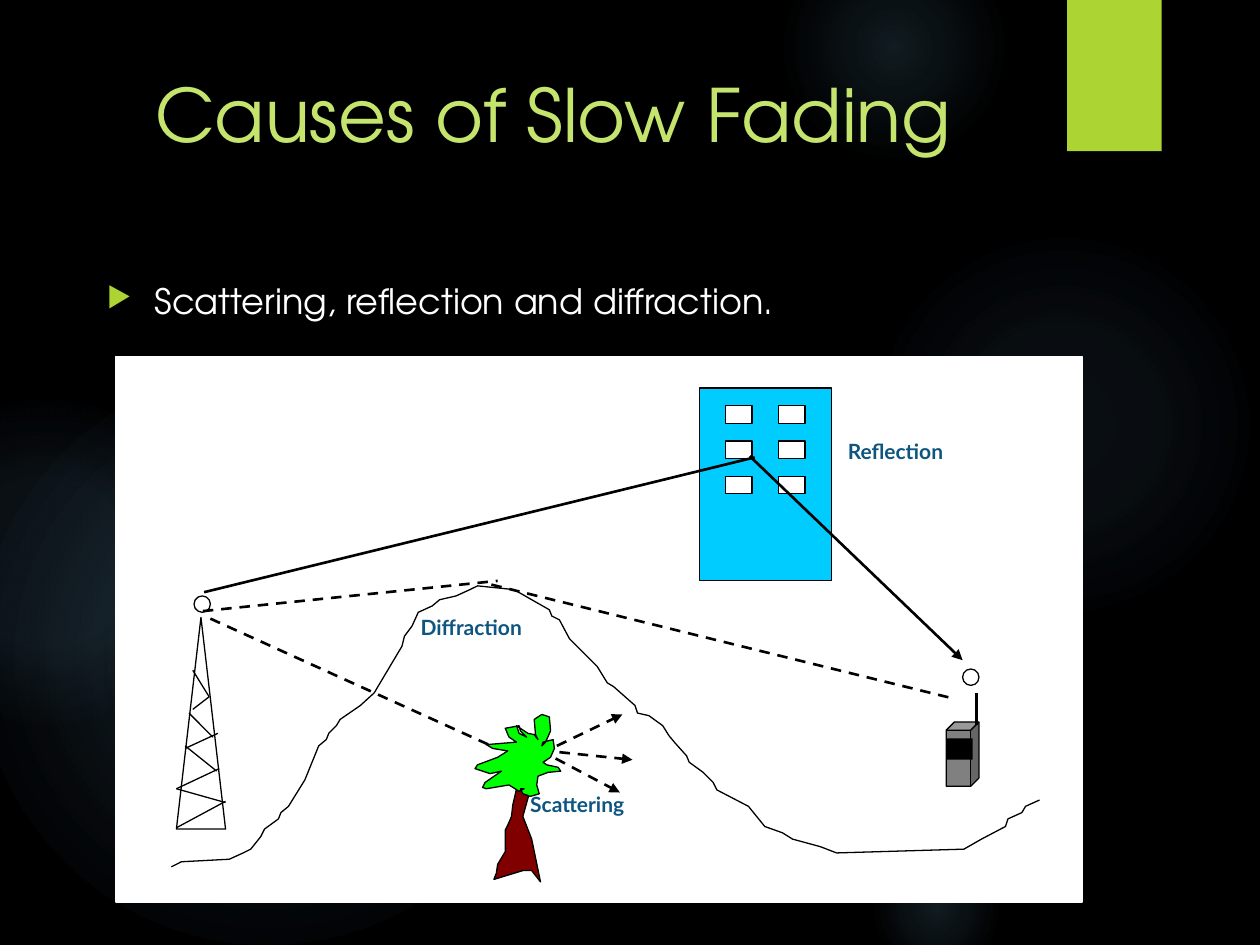
from lxml.etree import SubElement
from pptx import Presentation
from pptx.dml.color import RGBColor
from pptx.enum.dml import MSO_LINE
from pptx.enum.shapes import MSO_CONNECTOR, MSO_SHAPE
from pptx.enum.text import MSO_ANCHOR, PP_ALIGN
from pptx.oxml.ns import qn
from pptx.util import Inches, Pt

TITLE = {"name": "TeX Gyre Adventor", "size": Pt(42)}
BODY = {"name": "TeX Gyre Adventor", "size": Pt(20)}
LABEL = {"name": "Lato", "size": Pt(12), "bold": True}
FRAME = {"word_wrap": True, "vertical_anchor": MSO_ANCHOR.TOP}

# Outlines in hundredths of an inch from the corner of their box
HILL = [
    (8, 223), (16, 219), (54, 217), (65, 212), (71, 209), (79, 199), (82, 193),
    (93, 185), (95, 180), (101, 175), (114, 154), (125, 127), (131, 122),
    (133, 117), (139, 111), (142, 106), (158, 95), (169, 85), (191, 48),
    (193, 40), (199, 32), (204, 21), (215, 16), (221, 11), (234, 8), (245, 3),
    (251, 0), (280, 3), (308, 19), (310, 24), (316, 27), (324, 42), (346, 64),
    (354, 77), (359, 80), (376, 95), (378, 101), (387, 103), (398, 111),
    (403, 119), (408, 125), (417, 135), (419, 140), (430, 148), (438, 156),
    (441, 162), (466, 175), (479, 191), (493, 196), (501, 201), (523, 207),
    (536, 212), (637, 209), (651, 201), (670, 191), (672, 185), (683, 180),
    (686, 175), (697, 170)]
TRUNK = [
    (33, 59), (30, 72), (29, 81), (26, 88), (24, 92), (24, 109), (18, 119),
    (17, 126), (15, 131), (38, 124), (45, 124), (52, 133), (45, 99), (38, 81),
    (45, 56)]
CROWN = [
    (36, 59), (38, 63), (44, 65), (51, 63), (49, 56), (50, 49), (58, 46),
    (68, 45), (66, 42), (57, 40), (54, 38), (60, 34), (63, 27), (62, 20),
    (54, 22), (53, 25), (56, 22), (60, 13), (59, 2), (53, 0), (47, 4), (48, 16),
    (50, 20), (47, 16), (42, 15), (36, 11), (33, 9), (35, 15), (41, 18),
    (36, 13), (35, 9), (24, 11), (27, 18), (33, 22), (9, 24), (14, 27),
    (26, 29), (18, 34), (2, 40), (0, 43), (12, 47), (21, 45), (8, 54), (6, 58),
    (9, 59), (27, 56), (35, 61), (39, 59)]


def tint(color, value):
    color.rgb = RGBColor.from_string(value)


def apply(target, values):
    for key, value in values.items():
        setattr(target, key, value)


def paint(shape, fill=None, line=None, width=0.75):
    shape.shadow.inherit = False
    if fill:
        shape.fill.solid()
        tint(shape.fill.fore_color, fill)
    else:
        shape.fill.background()
    if line:
        tint(shape.line.color, line)
        shape.line.width = Pt(width)
    else:
        shape.line.fill.background()


def block(slide, kind, x, y, w, h, fill=None, line=None, width=0.75):
    shape = slide.shapes.add_shape(kind, *map(Inches, (x, y, w, h)))
    paint(shape, fill, line, width)
    return shape


def outline(slide, x, y, points, fill=None, close=False):
    pen = slide.shapes.build_freeform(*points[0], scale=Inches(0.01))
    pen.add_line_segments(points[1:], close=close)
    paint(pen.convert_to_shape(Inches(x), Inches(y)), fill, "000000")


def stroke(slide, x, y, ends, width=0.75, dash=False, arrow=False):
    """Draw a straight line; ends are offsets from x, y."""
    x1, y1, x2, y2 = ends
    line = slide.shapes.add_connector(
        MSO_CONNECTOR.STRAIGHT, *map(Inches, (x + x1, y + y1, x + x2, y + y2)))
    tint(line.line.color, "000000")
    line.line.width = Pt(width)
    if dash:
        line.line.dash_style = MSO_LINE.DASH
    props = line._element.spPr
    if arrow:
        SubElement(props.find(qn("a:ln")), qn("a:tailEnd"), type="triangle")
    SubElement(props, qn("a:effectLst"))


def write(shape, text, font, color, align=PP_ALIGN.LEFT):
    apply(shape.text_frame, FRAME)
    para = shape.text_frame.paragraphs[0]
    para.alignment = align
    run = para.add_run()
    run.text = text
    apply(run.font, font)
    tint(run.font.color, color)
    return para


def glow(slide, x, y, size, stops):
    """Draw a round light; stops are (position, opacity) in percent."""
    shape = block(slide, MSO_SHAPE.OVAL, x, y, size, size)
    props = shape._element.spPr
    old = props.find(qn("a:noFill"))
    grad = old.makeelement(qn("a:gradFill"), rotWithShape="1")
    props.replace(old, grad)
    marks = SubElement(grad, qn("a:gsLst"))
    for pos, alpha in stops:
        mark = SubElement(marks, qn("a:gs"), pos=str(pos * 1000))
        color = SubElement(mark, qn("a:srgbClr"), val="7AC4F0")
        SubElement(color, qn("a:alpha"), val=str(alpha * 1000))
    way = SubElement(grad, qn("a:path"), path="circle")
    SubElement(way, qn("a:fillToRect"), l="50000", t="50000", r="50000", b="50000")


def backdrop(slide):
    slide.background.fill.solid()
    tint(slide.background.fill.fore_color, "000000")
    for x, y, size, core, mid, edge in (
            (6.89, 1.83, 3.08, 7, 6, 69), (6.22, -0.5, 1.75, 14, 7, 73),
            (6.89, 6.67, 1.08, 14, 7, 66), (-0.17, 2.92, 4.58, 11, 10, 75),
            (-0.92, 3.17, 2.58, 8, 8, 72)):
        glow(slide, x, y, size, ((0, core), (36, mid), (edge, 0)))
    block(slide, MSO_SHAPE.RECTANGLE, 8.47, 0, 0.75, 1.2, "ACD433")


def title(slide, x, y, w, h):
    box = slide.shapes.add_textbox(*map(Inches, (x, y, w, h)))
    write(box, "Causes of Slow Fading", TITLE, "C4E46E", PP_ALIGN.CENTER)


def body(slide, x, y, w, h):
    box = slide.shapes.add_textbox(*map(Inches, (x, y, w, h)))
    para = write(box, "Scattering, reflection and diffraction.", BODY, "FFFFFF")
    props = para._p.get_or_add_pPr()
    props.set("marL", str(Inches(0.38)))
    props.set("indent", str(-Inches(0.38)))
    SubElement(SubElement(props, qn("a:buClr")), qn("a:srgbClr"), val="ACD433")
    SubElement(props, qn("a:buSzPct"), val="80000")
    SubElement(props, qn("a:buChar"), char="▶")


def ball(slide, x, y):
    block(slide, MSO_SHAPE.OVAL, x, y, 0.13, 0.13, "FFFFFF", "000000")


def house(slide, x, y, w, h):
    block(slide, MSO_SHAPE.RECTANGLE, x, y, w, h, "00CCFF", "000000")
    wide, high = w / 5, 0.14
    for row in range(3):
        for col in range(2):
            block(slide, MSO_SHAPE.RECTANGLE, x + wide * (1 + 2 * col),
                  y + high * (1 + 2 * row), wide, high, "FFFFFF", "000000")


def tower(slide, x, y, w, h):
    ball(slide, x + 0.14, y - 0.17)
    block(slide, MSO_SHAPE.ISOSCELES_TRIANGLE, x, y, w, h, None, "000000")
    for brace in ((0, 1.67, 0.39, 1.46), (0.39, 1.47, 0, 1.36),
                  (0, 1.36, 0.34, 1.2), (0.32, 1.22, 0.07, 1.02),
                  (0.07, 1.04, 0.33, 0.92), (0.29, 0.95, 0.1, 0.76),
                  (0.13, 0.73, 0.26, 0.63), (0.26, 0.63, 0.13, 0.42)):
        stroke(slide, x, y, brace)


def phone(slide, x, y, w, h):
    ball(slide, x + 0.13, y - 0.42)
    block(slide, MSO_SHAPE.CUBE, x, y, w, h, "808080", "000000")
    stroke(slide, x, y, (0.24, 0.02, 0.24, -0.23), 2.25)
    block(slide, MSO_SHAPE.RECTANGLE, x, y + 0.13, 0.21, 0.17, "000000")


def tree(slide, x, y):
    outline(slide, x, y, TRUNK, "800000", True)
    outline(slide, x, y, CROWN, "00FF00", True)


def scene(slide, x, y, w, h):
    block(slide, MSO_SHAPE.RECTANGLE, x, y, w, h, "FFFFFF", "FFFFFF", 1)
    for text, dx, dy, wide, high in (("Diffraction", 2.32, 2, 1.31, 0.38),
                                     ("Reflection", 5.71, 0.6, 1.32, 0.33),
                                     ("Scattering", 3.19, 3.4, 1.36, 0.38)):
        label = block(slide, MSO_SHAPE.RECTANGLE, x + dx, y + dy, wide, high, "FFFFFF")
        write(label, text, LABEL, "0E5580")
    house(slide, x + 4.63, y + 0.25, 1.05, 1.53)
    tower(slide, x + 0.48, y + 2.07, 0.39, 1.68)
    phone(slide, x + 6.59, y + 2.9, 0.26, 0.51)
    outline(slide, x + 0.36, y + 1.82, HILL)
    tree(slide, x + 2.85, y + 2.84)
    for ends, dash, arrow in (
            ((0.7, 1.87, 5.07, 0.8), False, False),
            ((5.03, 0.79, 6.72, 2.41), False, True),
            ((0.69, 2.02, 3.03, 1.78), True, False),
            ((2.98, 1.81, 6.63, 2.71), True, False),
            ((0.75, 2.08, 2.98, 3.09), True, False),
            ((3.5, 3.09, 4.02, 2.84), True, True),
            ((3.52, 3.14, 4.1, 3.2), True, True),
            ((3.49, 3.19, 4, 3.46), True, True)):
        stroke(slide, x, y, ends, 1.5, dash, arrow)


def main():
    deck = Presentation()
    apply(deck, {"slide_width": Inches(10), "slide_height": Inches(7.5)})
    slide = deck.slides.add_slide(deck.slide_layouts[6])
    backdrop(slide)
    scene(slide, 0.92, 2.83, 7.67, 4.33)
    title(slide, 0.53, 0.5, 7.72, 1.53)
    body(slide, 0.75, 2.17, 8.5, 4.5)
    deck.save("out.pptx")


if __name__ == "__main__":
    main()
